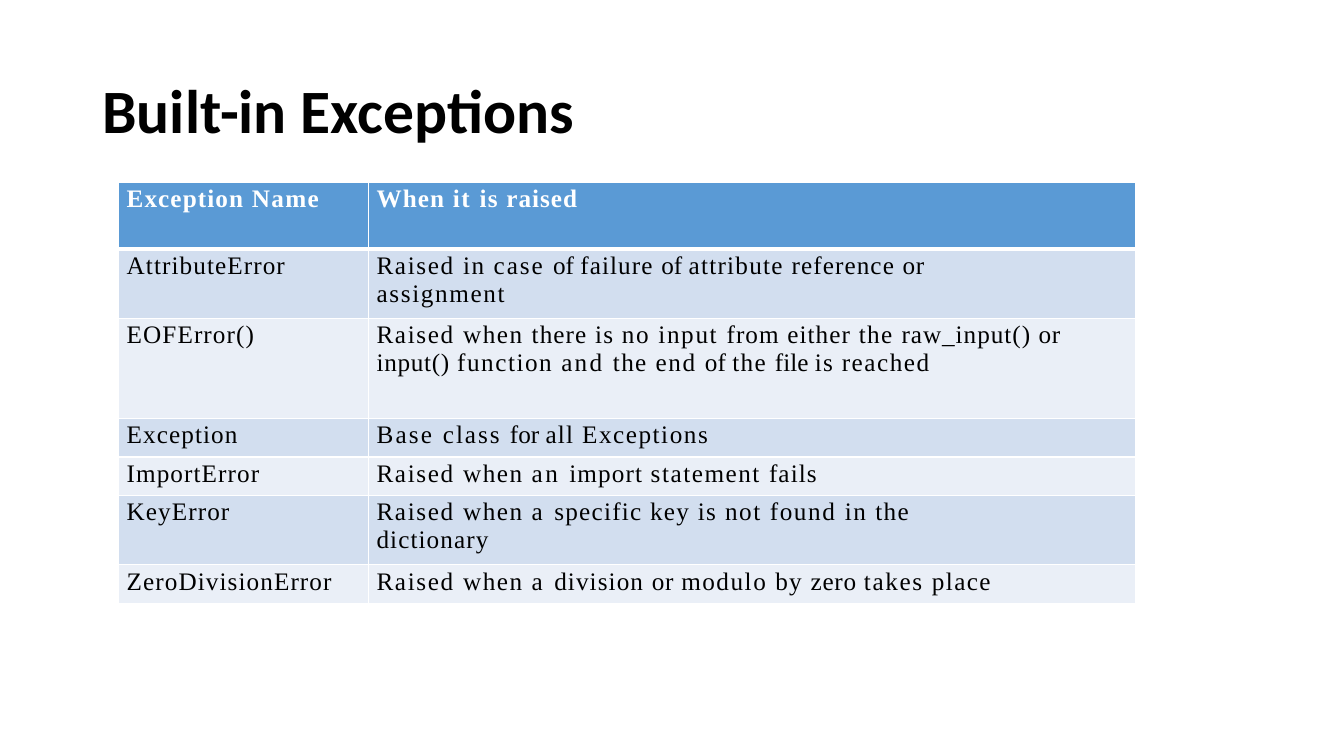
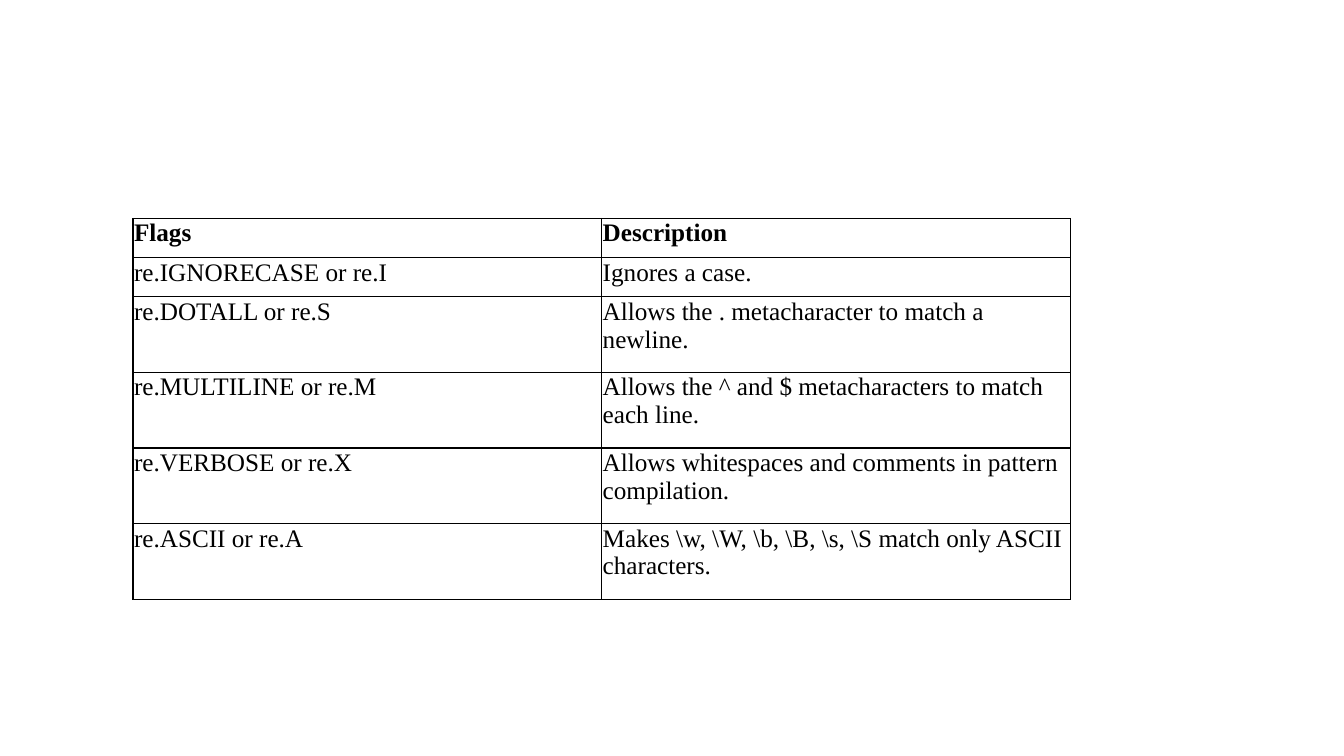
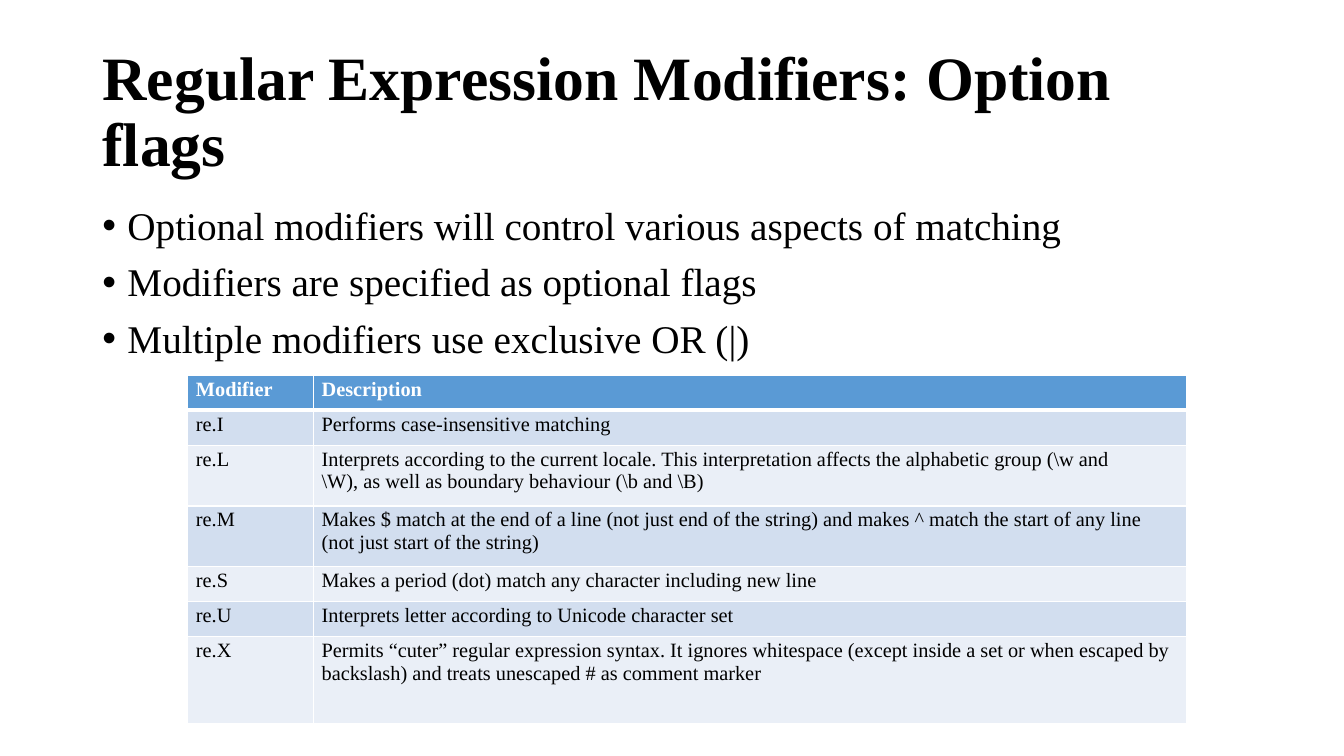
from itertools import groupby

from lxml.etree import SubElement
from pptx import Presentation
from pptx.dml.color import RGBColor
from pptx.enum.text import MSO_ANCHOR as Anchor, MSO_AUTO_SIZE as AutoSize, PP_ALIGN as Align
from pptx.oxml import parse_xml
from pptx.oxml.ns import nsdecls, qn
from pptx.util import Pt

SERIF = "Times New Roman"
COLORS = {
    "text": "000000",
    "paper": "FFFFFF",
    "header": "5A9AD5",
    "band_dark": "D2DEEF",
    "band_light": "EAEFF7",
}

TITLE_ONLY, BLANK = 5, 6

# Letter spacing of the exceptions table, in points, where it is not the usual one
USUAL_SPACING = 0.8
WORD_SPACING = {
    "of": 0, "for": 0, "file": 0, "or": 0.5, "input()": 0.5, "zero": 0.5,
    "raw_input()": 0.7, "raised": 0.7, "attribute": 0.9, "is": 0.9,
    "specific": 0.9, "key": 0.9, "all": 0.9, "by": 0.9, "the": 1, "place": 1,
    "Name": 1, "in": 1.1, "when": 1.1, "not": 1.1, "function": 1.1,
    "reached": 1.1, "Exceptions": 1.1, "statement": 1.1, "modulo": 1.1,
    "Raised": 1.2, "assignment": 1.2, "no": 1.2, "input": 1.2, "end": 1.2,
    "found": 1.2, "takes": 1.2, "it": 1.2, "case": 1.4, "class": 1.4,
    "and": 1.6, "Base": 1.6, "a": 1.8, "an": 1.8,
}

EXCEPTIONS = [
    ("Exception Name", "When it is raised"),
    ("AttributeError", "Raised in case of failure of attribute reference or assignment"),
    ("EOFError()", "Raised when there is no input from either the raw_input() or "
                   "input() function and the end of the file is reached"),
    ("Exception", "Base class for all Exceptions"),
    ("ImportError", "Raised when an import statement fails"),
    ("KeyError", "Raised when a specific key is not found in the dictionary"),
    ("ZeroDivisionError", "Raised when a division or modulo by zero takes place"),
]

FLAGS = [
    ("Flags", "Description"),
    ("re.IGNORECASE or re.I", "Ignores a case."),
    ("re.DOTALL or re.S", "Allows the . metacharacter to match a newline."),
    ("re.MULTILINE or re.M", "Allows the ^ and $ metacharacters to match each line."),
    ("re.VERBOSE or re.X", "Allows whitespaces and comments in pattern compilation."),
    ("re.ASCII or re.A", r"Makes \w, \W, \b, \B, \s, \S match only ASCII characters."),
]

MODIFIERS = [
    ("Modifier", "Description"),
    ("re.I", "Performs case-insensitive matching"),
    ("re.L", "Interprets according to the current locale. This interpretation affects the "
             r"alphabetic group (\w and \W), as well as boundary behaviour (\b and \B)"),
    ("re.M", "Makes $ match at the end of a line (not just end of the string) and makes ^ "
             "match the start of any line (not just start of the string)"),
    ("re.S", "Makes a period (dot) match any character including new line"),
    ("re.U", "Interprets letter according to Unicode character set"),
    ("re.X", "Permits “cuter” regular expression syntax. It ignores whitespace (except inside "
             "a set or when escaped by backslash) and treats unescaped # as comment marker"),
]

MODIFIER_POINTS = [
    "Optional modifiers will control various aspects of matching",
    "Modifiers are specified as optional flags",
    "Multiple modifiers use exclusive OR (|)",
]


def style_runs(para, size, color="text", font=SERIF, bold=False):
    for span in para.runs:
        span.font.name = font
        span.font.size = Pt(size)
        span.font.bold = bold
        span.font.color.rgb = RGBColor.from_string(COLORS[color])


def place(shape, left, top, width, height):
    shape.left, shape.top = Pt(left), Pt(top)
    shape.width, shape.height = Pt(width), Pt(height)


def set_title(page, text, font):
    title = page.shapes.title
    place(title, 66, 28.8, 828, 104.4)
    frame = title.text_frame
    frame.text = text
    frame.word_wrap = True
    frame.auto_size = AutoSize.NONE
    frame.vertical_anchor = Anchor.MIDDLE
    para = frame.paragraphs[0]
    para.alignment = Align.LEFT
    para.line_spacing = 0.9
    style_runs(para, 44, font=font, bold=True)


def add_bullets(page, lines):
    box = page.shapes.add_textbox(Pt(66), Pt(144), Pt(828), Pt(342))
    frame = box.text_frame
    frame.text = "\n".join(lines)
    frame.word_wrap = True
    for para in frame.paragraphs:
        para.line_spacing = 0.9
        para.space_before = Pt(10)
        style_runs(para, 28)
        props = para._p.get_or_add_pPr()
        props.set("marL", str(Pt(18)))
        props.set("indent", str(-Pt(18)))
        SubElement(props, qn("a:buFont"), typeface="Arial")
        SubElement(props, qn("a:buChar"), char="•")


def add_spaced_runs(para, text):
    """Write the text with one run for each stretch of equal letter spacing."""
    words = text.split()
    pieces = [word + " " for word in words[:-1]] + words[-1:]
    by_spacing = groupby(pieces, lambda piece: WORD_SPACING.get(piece.strip(), USUAL_SPACING))
    for spacing, group in by_spacing:
        span = para.add_run()
        span.text = "".join(group)
        span.font._element.set("spc", str(round(spacing * 100)))


def set_borders(cell, color, top=1, bottom=1):
    props = cell._tc.get_or_add_tcPr()
    widths = {"lnL": 1, "lnR": 1, "lnT": top, "lnB": bottom}
    for position, (tag, width) in enumerate(widths.items()):
        props.insert(position, parse_xml(
            f'<a:{tag} {nsdecls("a")} w="{Pt(width)}"><a:solidFill>'
            f'<a:srgbClr val="{COLORS[color]}"/></a:solidFill></a:{tag}>'))


def add_grid(page, rows, left, top, columns, heights, size, banded=True,
             spaced=False, right_margins=None):
    """Add a table; right_margins narrows the description of single rows."""
    frame = page.shapes.add_table(len(rows), len(columns), Pt(left), Pt(top),
                                  Pt(sum(columns)), Pt(sum(heights)))
    table = frame.table
    for column, width in zip(table.columns, columns):
        column.width = Pt(width)
    for row, height in zip(table.rows, heights):
        row.height = Pt(height)

    margins = (6, 2, 0, 0) if banded else (0.75,) * 4
    for r, texts in enumerate(rows):
        if not banded:
            fill = "paper"
        elif r == 0:
            fill = "header"
        else:
            fill = "band_dark" if r % 2 else "band_light"
        for c, text in enumerate(texts):
            cell = table.cell(r, c)
            (cell.margin_left, cell.margin_top,
             cell.margin_right, cell.margin_bottom) = map(Pt, margins)
            if c == 1 and right_margins and r in right_margins:
                cell.margin_right = Pt(right_margins[r])
            cell.fill.solid()
            cell.fill.fore_color.rgb = RGBColor.from_string(COLORS[fill])
            if banded:
                set_borders(cell, "paper", top=3 if r == 1 else 1, bottom=3 if r == 0 else 1)
            else:
                set_borders(cell, "text")

            para = cell.text_frame.paragraphs[0]
            if spaced:
                add_spaced_runs(para, text)
            else:
                para.text = text
            if banded:
                para.space_before = Pt(2.2)
            style_runs(para, size, "paper" if banded and r == 0 else "text", bold=r == 0)


def add_page(deck, layout):
    return deck.slides.add_slide(deck.slide_layouts[layout])


def main():
    deck = Presentation()
    deck.slide_width, deck.slide_height = Pt(960), Pt(540)

    # Built-in exceptions
    page = add_page(deck, TITLE_ONLY)
    set_title(page, "Built-in Exceptions", "Calibri")
    add_grid(page, EXCEPTIONS, 84.5, 130.5, [178.5, 548],
             [47.5, 49.5, 71.5, 27.5, 27.5, 49.5, 27.5], 18,
             spaced=True, right_margins={1: 100, 5: 110})

    # Flags
    page = add_page(deck, BLANK)
    add_grid(page, FLAGS, 95, 156, [334.8] * 2, [28] * 2 + [54] * 4, 18, banded=False)

    # Modifiers
    page = add_page(deck, TITLE_ONLY)
    set_title(page, "Regular Expression Modifiers: Option flags", SERIF)
    add_bullets(page, MODIFIER_POINTS)
    add_grid(page, MODIFIERS, 134, 268, [89.75, 624],
             [25, 25, 43.5, 43.5, 25, 25, 62], 14.5, right_margins={2: 38, 3: 18})

    deck.save("out.pptx")


if __name__ == "__main__":
    main()
